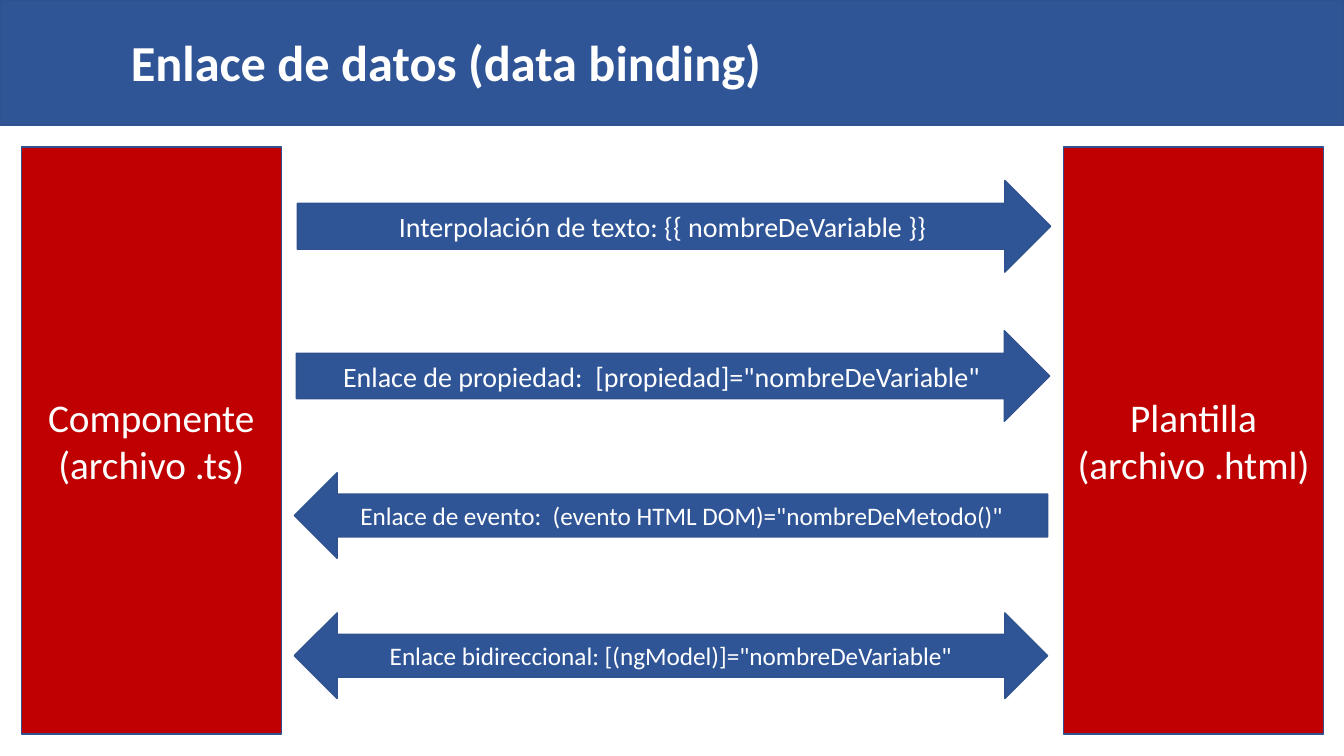
import pptx
import pptx.dml.color
import pptx.enum.shapes
import pptx.enum.text
import pptx.util

BLUE = pptx.dml.color.RGBColor(0x2F, 0x55, 0x97)
OUTLINE = pptx.dml.color.RGBColor(0x2F, 0x52, 0x8F)
RED = pptx.dml.color.RGBColor(0xC0, 0x00, 0x00)
WHITE = pptx.dml.color.RGBColor(0xFF, 0xFF, 0xFF)

FONT = "Calibri"
SLIDE_WIDTH = pptx.util.Inches(13.33)
SLIDE_HEIGHT = pptx.util.Inches(7.5)

SHAPES = pptx.enum.shapes.MSO_SHAPE
ALIGN = pptx.enum.text.PP_ALIGN

# Places are percentages of the slide's width and height.
PANEL_TOP, PANEL_WIDTH, PANEL_HEIGHT = 19.47, 19.35, 77.6
ARROW_WIDTH = 56.05

PANELS = [
    (1.58, ["Componente", "(archivo .ts)"]),
    (79.13, ["Plantilla", "(archivo .html)"]),
]

# Preset, left, top, height, text size, text
ARROWS = [
    (SHAPES.RIGHT_ARROW, 22.13, 23.87, 12.13, 20,
     'Interpolación de texto: {{ nombreDeVariable }}'),
    (SHAPES.RIGHT_ARROW, 22.05, 43.73, 12, 20,
     'Enlace de propiedad:  [propiedad]="nombreDeVariable"'),
    (SHAPES.LEFT_ARROW, 21.9, 62.53, 11.33, 18,
     'Enlace de evento:  (evento HTML DOM)="nombreDeMetodo()"'),
    (SHAPES.LEFT_RIGHT_ARROW, 21.9, 81.07, 11.33, 18,
     'Enlace bidireccional: [(ngModel)]="nombreDeVariable"'),
]


def place(left, top, width, height):
    """Turn percentages of the slide into lengths."""
    return (
        int(SLIDE_WIDTH * left / 100),
        int(SLIDE_HEIGHT * top / 100),
        int(SLIDE_WIDTH * width / 100),
        int(SLIDE_HEIGHT * height / 100),
    )


def write_lines(text_frame, lines, size, alignment, bold=False):
    text_frame.word_wrap = True
    text_frame.text = "\n".join(lines)
    for paragraph in text_frame.paragraphs:
        paragraph.alignment = alignment
        paragraph.font.name = FONT
        paragraph.font.size = pptx.util.Pt(size)
        paragraph.font.bold = bold
        paragraph.font.color.rgb = WHITE


def add_block(slide, preset, area, fill, lines=(), size=20):
    """Add a filled, outlined shape with centred white text."""
    shape = slide.shapes.add_shape(preset, *place(*area))
    shape.shadow.inherit = False
    shape.fill.solid()
    shape.fill.fore_color.rgb = fill
    shape.line.color.rgb = OUTLINE
    shape.line.width = pptx.util.Pt(1)
    if lines:
        shape.text_frame.vertical_anchor = pptx.enum.text.MSO_ANCHOR.MIDDLE
        write_lines(shape.text_frame, lines, size, ALIGN.CENTER)


def add_header(slide, title):
    add_block(slide, SHAPES.RECTANGLE, (0, 0, 100, 16.53), BLUE)
    text_box = slide.shapes.add_textbox(*place(9, 3.47, 89.48, 9.47))
    write_lines(text_box.text_frame, [title], 36, ALIGN.LEFT, bold=True)
    text_box.text_frame.auto_size = pptx.enum.text.MSO_AUTO_SIZE.SHAPE_TO_FIT_TEXT


def main():
    presentation = pptx.Presentation()
    presentation.slide_width = SLIDE_WIDTH
    presentation.slide_height = SLIDE_HEIGHT
    slide = presentation.slides.add_slide(presentation.slide_layouts[6])

    add_header(slide, "Enlace de datos (data binding)")
    for left, lines in PANELS:
        area = (left, PANEL_TOP, PANEL_WIDTH, PANEL_HEIGHT)
        add_block(slide, SHAPES.RECTANGLE, area, RED, lines, 28)
    for preset, left, top, height, size, text in ARROWS:
        area = (left, top, ARROW_WIDTH, height)
        add_block(slide, preset, area, BLUE, [text], size)

    presentation.save("out.pptx")


if __name__ == "__main__":
    main()
